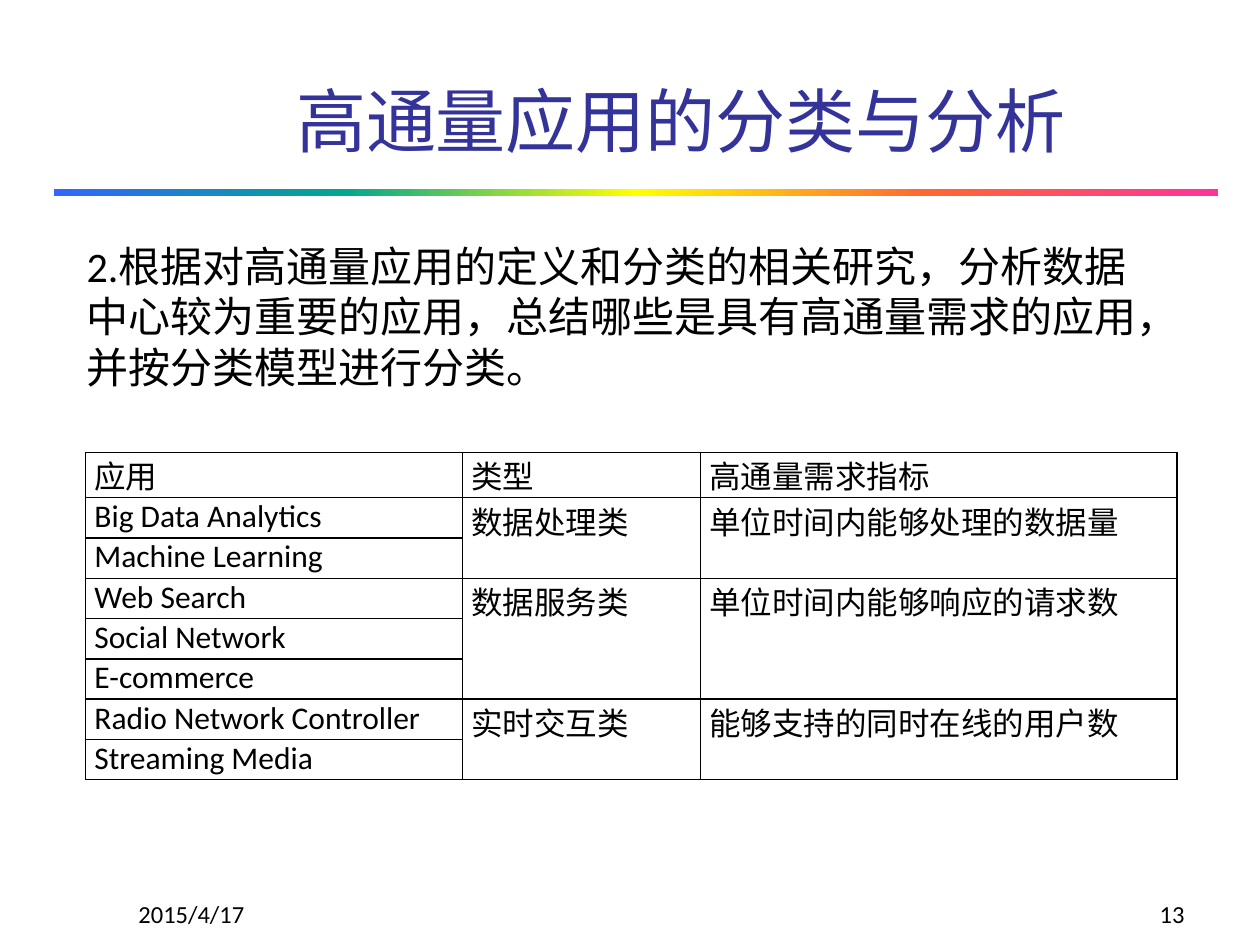
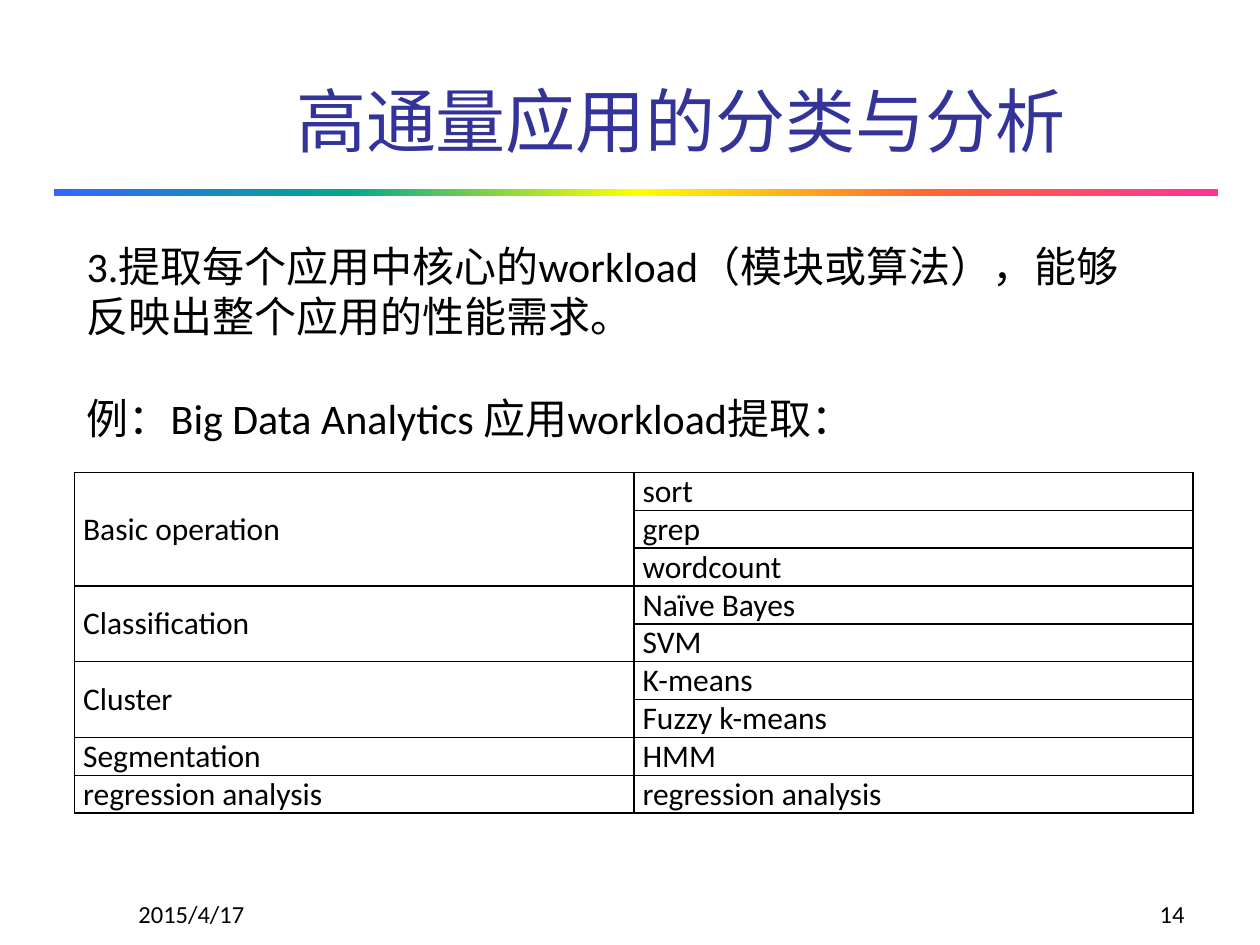
from lxml import etree
from pptx import Presentation
from pptx.dml.color import RGBColor
from pptx.enum.shapes import MSO_SHAPE
from pptx.enum.text import MSO_ANCHOR, MSO_AUTO_SIZE, PP_ALIGN
from pptx.oxml.ns import qn
from pptx.util import Inches, Pt

RECT = MSO_SHAPE.RECTANGLE
TOP, MID, LOW = MSO_ANCHOR.TOP, MSO_ANCHOR.MIDDLE, MSO_ANCHOR.BOTTOM
LEFT, RIGHT, FULL = PP_ALIGN.LEFT, PP_ALIGN.RIGHT, PP_ALIGN.JUSTIFY
FIXED = MSO_AUTO_SIZE.NONE

FONT, INK, NAVY, WHITE = "Calibri", "000000", "333399", "FFFFFF"
RAINBOW = ["3366FF", "01A78F", "FFFF00", "FF6633", "FF3399"]
TITLE = "高通量应用的分类与分析"
DATE = "2015/4/17"

APPS = [
    ("应用", "类型", "高通量需求指标"),
    ("Big Data Analytics", "数据处理类", "单位时间内能够处理的数据量"),
    ("Machine Learning", None, None),
    ("Web Search", "数据服务类", "单位时间内能够响应的请求数"),
    ("Social Network", None, None),
    ("E-commerce", None, None),
    ("Radio Network Controller", "实时交互类", "能够支持的同时在线的用户数"),
    ("Streaming Media", None, None),
]
LOADS = [
    ("Basic operation", "sort"),
    (None, "grep"),
    (None, "wordcount"),
    ("Classification", "Naïve Bayes"),
    (None, "SVM"),
    ("Cluster", "K-means"),
    (None, "Fuzzy k-means"),
    ("Segmentation", "HMM"),
    ("regression analysis", "regression analysis"),
]


def color(code):
    """Turn a hex string into a colour."""
    return RGBColor.from_string(code)


def write(frame, *lines, size=18, ink=INK, align=LEFT, anchor=TOP, gap=0):
    """Write lines as paragraphs in a text frame, with a gap between them."""
    frame.word_wrap = True
    frame.vertical_anchor = anchor
    for i, line in enumerate(lines):
        para = frame.add_paragraph() if i else frame.paragraphs[0]
        para.alignment = align
        para.space_before = Pt(gap if i else 0)
        run = para.add_run()
        run.text = line
        run.font.name = FONT
        run.font.size = Pt(size)
        run.font.color.rgb = color(ink)


def add_text(slide, box, *lines, **form):
    """Add a text box with formatted lines."""
    shape = slide.shapes.add_textbox(*map(Inches, box))
    write(shape.text_frame, *lines, **form)


def add_bar(slide, box):
    """Draw the rainbow rule under the title."""
    bar = slide.shapes.add_shape(RECT, *map(Inches, box))
    bar.shadow.inherit = False
    bar.line.fill.background()
    bar.fill.gradient()
    bar.fill.gradient_angle = 0
    stops = bar._element.spPr.find(".//" + qn("a:gsLst"))
    for old in list(stops):
        stops.remove(old)
    step = 100000 // (len(RAINBOW) - 1)
    for i, code in enumerate(RAINBOW):
        stop = etree.SubElement(stops, qn("a:gs"), pos=str(i * step))
        etree.SubElement(stop, qn("a:srgbClr"), val=code)


def add_page(deck, number):
    """Add a slide with its title, rule, date and page number."""
    slide = deck.slides.add_slide(deck.slide_layouts[5])
    title = slide.shapes.title
    title.left, title.top, title.width, title.height = map(
        Inches, (2.25, 0.08, 7.53, 1.25))
    write(title.text_frame, TITLE, size=40, ink=NAVY, anchor=LOW)
    title.text_frame.auto_size = FIXED
    add_bar(slide, (0.43, 1.5, 9.24, 0.06))
    add_text(slide, (1, 6.92, 2.08, 0.5), DATE, size=14, anchor=LOW)
    add_text(slide, (7.42, 6.92, 2.08, 0.5), str(number),
             size=14, anchor=LOW, align=RIGHT)
    return slide


def frame_cell(cell):
    """Give a cell a white fill, tight margins and thin black borders."""
    cell.margin_left = cell.margin_right = Inches(0.07)
    cell.margin_top = cell.margin_bottom = 0
    cell.fill.solid()
    cell.fill.fore_color.rgb = color(WHITE)
    props = cell._tc.get_or_add_tcPr()
    for i, side in enumerate("LRTB"):
        line = etree.Element(qn("a:ln" + side), w=str(Pt(1)))
        fill = etree.SubElement(line, qn("a:solidFill"))
        etree.SubElement(fill, qn("a:srgbClr"), val=INK)
        props.insert(i, line)


def add_grid(slide, spot, rows, widths, heights, anchor=TOP):
    """Add a bordered table; None joins a cell to the one above."""
    size = sum(widths), sum(heights)
    grid = slide.shapes.add_table(
        len(rows), len(widths), *map(Inches, spot + size)).table
    grid.first_row = grid.horz_banding = False
    for col, width in zip(grid.columns, widths):
        col.width = Inches(width)
    for row, height in zip(grid.rows, heights):
        row.height = Inches(height)
    for c in range(len(widths)):
        head = 0
        for r, row in enumerate(rows):
            cell = grid.cell(r, c)
            frame_cell(cell)
            if row[c] is not None:
                head = r
                write(cell.text_frame, row[c], align=FULL)
                cell.vertical_anchor = anchor
            if r + 1 == len(rows) or rows[r + 1][c] is not None:
                if r > head:
                    grid.cell(head, c).merge(cell)


def add_apps(deck):
    """Build the slide that sorts applications by type."""
    slide = add_page(deck, 13)
    add_grid(slide, (0.68, 3.59), APPS, (2.99, 1.89, 3.78),
             [0.36] + [0.32] * (len(APPS) - 1))
    add_text(slide, (0.59, 1.86, 8.74, 1.31),
             "2.根据对高通量应用的定义和分类的相关研究，分析数据中心较为重要的应用，"
             "总结哪些是具有高通量需求的应用，并按分类模型进行分类。", size=24)


def add_loads(deck):
    """Build the slide that lists the workloads of one application."""
    slide = add_page(deck, 14)
    add_text(slide, (0.59, 1.86, 8.5, 1.72),
             "3.提取每个应用中核心的workload（模块或算法），能够反映出整个应用的性能需求。",
             "例：Big Data Analytics 应用workload提取：", size=24, gap=29)
    add_grid(slide, (0.59, 3.75), LOADS, (4.44, 4.44),
             [0.3] * len(LOADS), anchor=MID)


def main():
    """Build the deck and save it."""
    deck = Presentation()
    deck.slide_width, deck.slide_height = Inches(10), Inches(7.5)
    add_apps(deck)
    add_loads(deck)
    deck.save("out.pptx")


if __name__ == "__main__":
    main()
